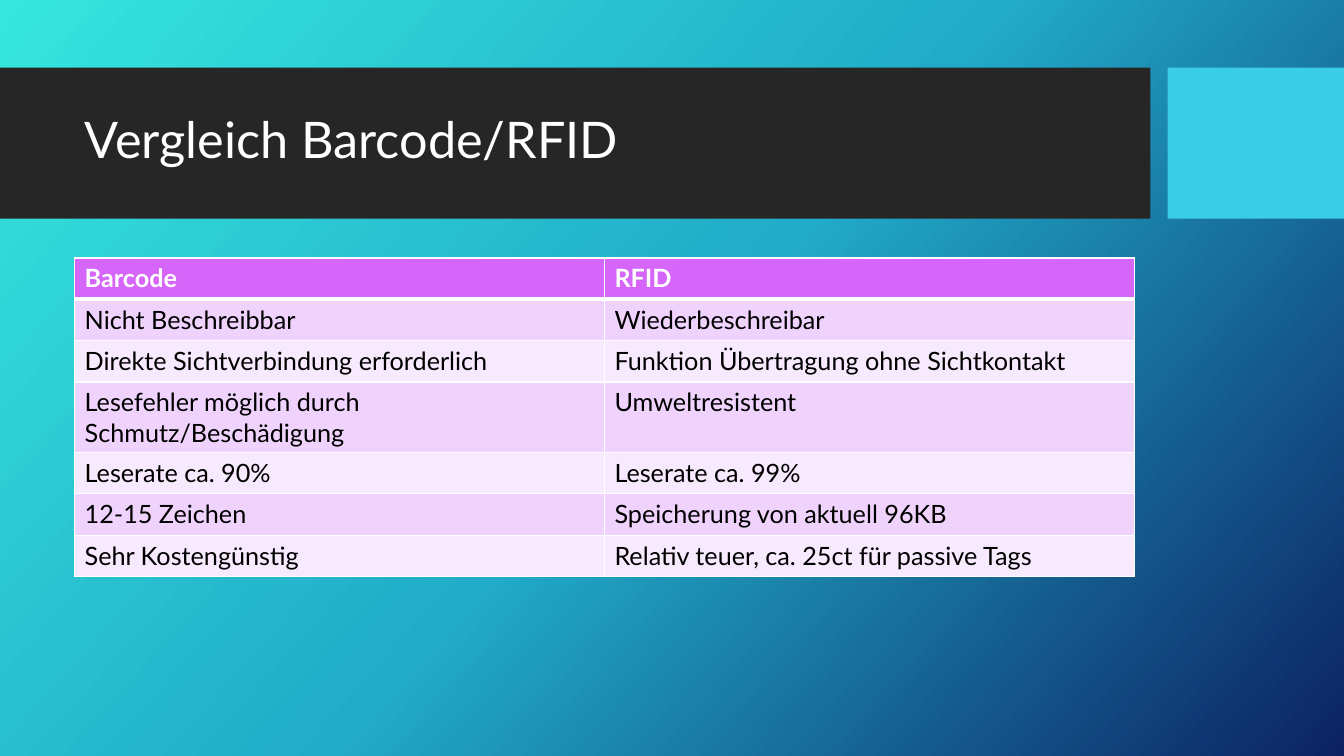
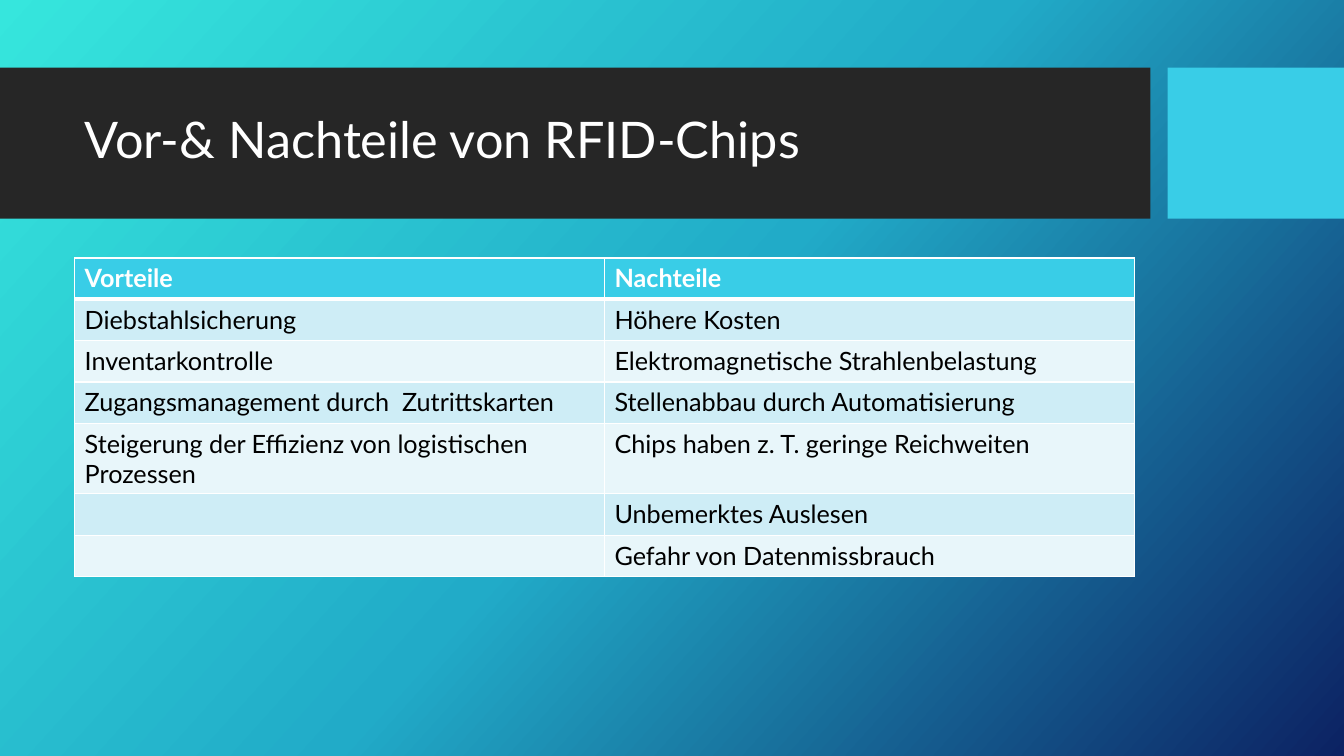
from pptx import Presentation
from pptx.dml.color import RGBColor
from pptx.enum.shapes import MSO_SHAPE
from pptx.enum.text import MSO_ANCHOR, MSO_AUTO_SIZE, PP_ALIGN
from pptx.oxml import parse_xml
from pptx.oxml.ns import nsdecls, qn
from pptx.util import Inches, Pt

RECT = MSO_SHAPE.RECTANGLE
MIDDLE, LEFT, NO_FIT = MSO_ANCHOR.MIDDLE, PP_ALIGN.LEFT, MSO_AUTO_SIZE.NONE

# Shared look
FONT = "Lato"
WHITE, BLACK, DARK, CYAN = "FFFFFF", "000000", "262626", "39CDE7"
GRADIENT = [(0, "36E6DD"), (50, "21ABC8"), (100, "0C2263")]
MARGIN, CONTENT_W = 0.74, 10.51
BAND_TOP, BAND_H = 0.67, 1.5
BANDS = [(0, 11.41, DARK), (11.58, 1.75, CYAN)]
TABLE_TOP, ROW_H = 2.56, 0.41

# Title, table colours (header, odd rows, even rows) and table rows
SLIDES = [
    ("Vergleich Barcode/RFID", ("D666F9", "F0D3FD", "F7EAFE"), [
        ("Barcode", "RFID"),
        ("Nicht Beschreibbar", "Wiederbeschreibar"),
        ("Direkte Sichtverbindung erforderlich",
         "Funktion Übertragung ohne Sichtkontakt"),
        ("Lesefehler möglich durch Schmutz/Beschädigung", "Umweltresistent"),
        ("Leserate ca. 90%", "Leserate ca. 99%"),
        ("12-15 Zeichen", "Speicherung von aktuell 96KB"),
        ("Sehr Kostengünstig", "Relativ teuer, ca. 25ct für passive Tags"),
    ]),
    ("Vor-& Nachteile von RFID-Chips", (CYAN, "CEEDF6", "E8F6FA"), [
        ("Vorteile", "Nachteile"),
        ("Diebstahlsicherung", "Höhere Kosten"),
        ("Inventarkontrolle", "Elektromagnetische Strahlenbelastung"),
        ("Zugangsmanagement durch  Zutrittskarten",
         "Stellenabbau durch Automatisierung"),
        ("Steigerung der Effizienz von logistischen Prozessen",
         "Chips haben z. T. geringe Reichweiten"),
        ("", "Unbemerktes Auslesen"),
        ("", "Gefahr von Datenmissbrauch"),
    ]),
]


def rgb(value):
    return RGBColor.from_string(value)


def write(p, text, size, color, bold=False):
    r = p.add_run()
    r.text = text
    for name, value in {"name": FONT, "size": Pt(size), "bold": bold}.items():
        setattr(r.font, name, value)
    r.font.color.rgb = rgb(color)


prs = Presentation()
prs.slide_width, prs.slide_height = Inches(13.33), Inches(7.5)
layout = prs.slide_layouts.get_by_name("Title Only")

# Gradient background on the master
master = prs.slide_master
master.background.fill.gradient()
stops = "".join(f'<a:gs pos="{pos * 1000}"><a:srgbClr val="{color}"/></a:gs>'
                for pos, color in GRADIENT)
old = next(master.element.iter(qn("a:gradFill")))
old.getparent().replace(old, parse_xml(
    f'<a:gradFill {nsdecls("a")} rotWithShape="1"><a:gsLst>{stops}</a:gsLst>'
    f'<a:lin ang="{42 * 60000}" scaled="0"/></a:gradFill>'))

# Title position on the layout
title_box = {"left": MARGIN, "top": 0.82, "width": CONTENT_W, "height": 1.18}
for name, value in title_box.items():
    setattr(layout.placeholders[0], name, Inches(value))

for number, (title, (head, odd, even), rows) in enumerate(SLIDES):
    s = prs.slides.add_slide(layout)

    # Bands: drawn once, then moved behind the title of the layout
    if number == 0:
        for i, (left, width, color) in enumerate(BANDS):
            sp = s.shapes.add_shape(RECT, Inches(left), Inches(BAND_TOP),
                                    Inches(width), Inches(BAND_H))
            sp.shadow.inherit = False
            sp.fill.solid()
            sp.fill.fore_color.rgb = rgb(color)
            sp.line.fill.background()
            sp.element.nvSpPr.cNvPr.set("id", str(100 + i))
            layout.shapes.element.insert(2 + i, sp.element)

    # Title
    tf = s.shapes.title.text_frame
    for name, value in {"vertical_anchor": MIDDLE, "auto_size": NO_FIT,
                        "word_wrap": True}.items():
        setattr(tf, name, value)
    p = tf.paragraphs[0]
    p.alignment, p.line_spacing = LEFT, 0.9
    write(p, title, 36, WHITE)

    # Table
    table = s.shapes.add_table(
        len(rows), len(rows[0]), Inches(MARGIN), Inches(TABLE_TOP),
        Inches(CONTENT_W), Inches(ROW_H * len(rows))).table
    for i, row in enumerate(rows):
        fill = head if i == 0 else odd if i % 2 else even
        edges = {"lnL": 1, "lnR": 1,
                 "lnT": 3 if i == 1 else 1, "lnB": 3 if i == 0 else 1}
        for j, text in enumerate(row):
            cell = table.cell(i, j)
            tcPr = cell._tc.get_or_add_tcPr()
            for tag, points in edges.items():
                tcPr.append(parse_xml(
                    f'<a:{tag} {nsdecls("a")} w="{Pt(points)}"><a:solidFill>'
                    f'<a:srgbClr val="{WHITE}"/></a:solidFill></a:{tag}>'))
            cell.fill.solid()
            cell.fill.fore_color.rgb = rgb(fill)
            if text:
                write(cell.text_frame.paragraphs[0], text, 18,
                      BLACK if i else WHITE, bold=i == 0)

prs.save("out.pptx")
